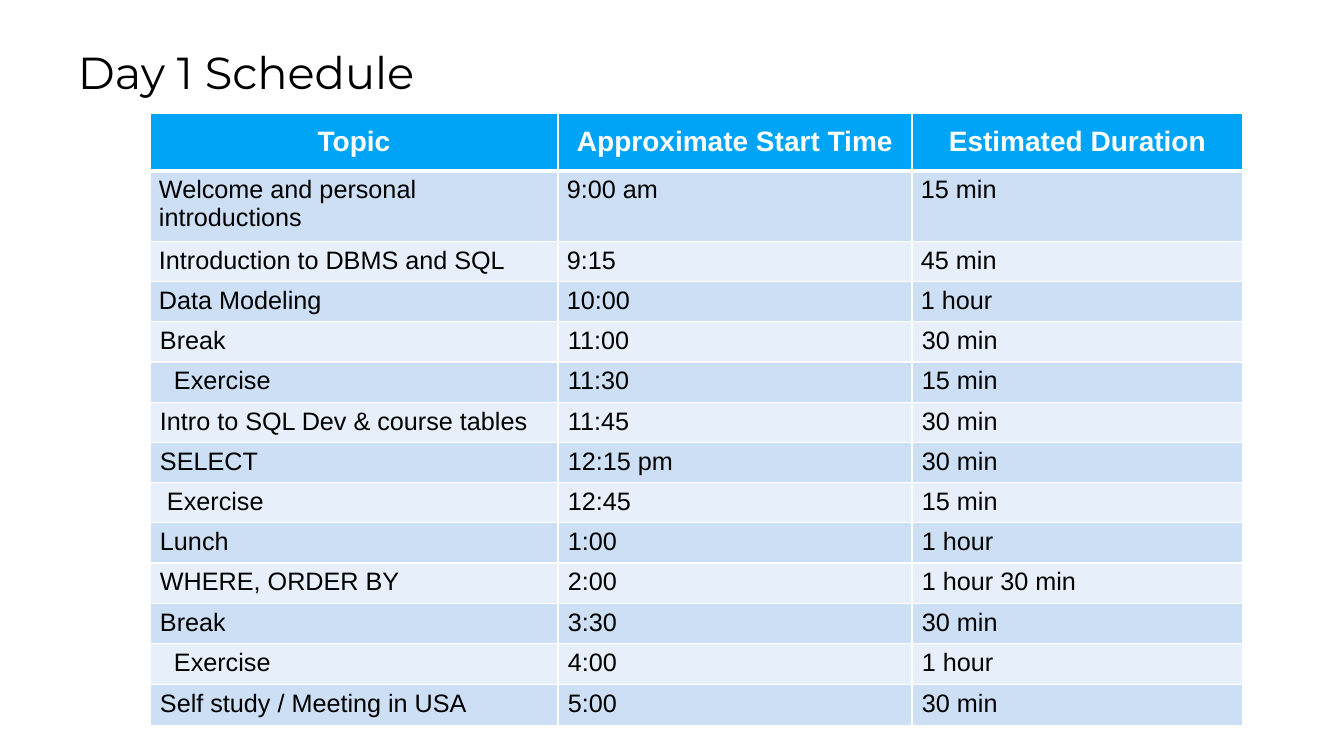
import lxml.etree
import pptx
import pptx.dml.color
import pptx.enum.text
import pptx.oxml.ns
import pptx.util

ALIGN = pptx.enum.text.PP_ALIGN
ANCHOR = pptx.enum.text.MSO_ANCHOR

HEADINGS = ["Topic", "Approximate Start Time", "Estimated Duration"]
SESSIONS = [
    ("Welcome and personal introductions", "9:00 am", "15 min"),
    ("Introduction to DBMS and SQL", "9:15", "45 min"),
    ("Data Modeling", "10:00", "1 hour"),
    ("Break", "11:00", "30 min"),
    ("Exercise", "11:30", "15 min"),
    ("Intro to SQL Dev & course tables", "11:45", "30 min"),
    ("SELECT", "12:15 pm", "30 min"),
    ("Exercise", "12:45", "15 min"),
    ("Lunch", "1:00", "1 hour"),
    ("WHERE, ORDER BY", "2:00", "1 hour 30 min"),
    ("Break", "3:30", "30 min"),
    ("Exercise", "4:00", "1 hour"),
    ("Self study / Meeting in USA", "5:00", "30 min"),
]
TOPIC_INDENTS = {5: 14, 8: 7, 12: 14}
COLUMN_WIDTHS = [408, 354, 331]
ROW_HEIGHTS = [58, 66] + [39] * 10 + [41] * 2


def px(length):
    return pptx.util.Emu(round(length * 914400 / 100.8))


def color(value):
    return pptx.dml.color.RGBColor.from_string(value)


def apply(target, values):
    for name, value in values.items():
        setattr(target, name, value)


class ScheduleSlide:
    """Holds the style of the schedule and the slide it is drawn on."""

    black, white, header_fill = "000000", "FFFFFF", "00A4F6"
    bands = ["E7F0FA", "CCDFF4"]
    title_font, table_font = "Montserrat", "Arial"

    def __init__(self, deck):
        self.slide = deck.slides.add_slide(deck.slide_layouts[6])

    def label(self, paragraph, text, font, size, ink, bold=False, align=ALIGN.LEFT):
        paragraph.text = text
        paragraph.alignment = align
        apply(paragraph.font, {"name": font, "size": pptx.util.Pt(size), "bold": bold})
        paragraph.font.color.rgb = color(ink)

    def title(self, text, left, top, width, height):
        frame = self.slide.shapes.add_textbox(px(left), px(top), px(width), px(height)).text_frame
        apply(frame, {"word_wrap": True, "vertical_anchor": ANCHOR.MIDDLE})
        self.label(frame.paragraphs[0], text, self.title_font, 32, self.black)

    def borders(self, cell, widths):
        properties = cell._tc.get_or_add_tcPr()
        for side, points in widths.items():
            line = lxml.etree.SubElement(
                properties, pptx.oxml.ns.qn(f"a:ln{side}"), w=str(int(pptx.util.Pt(points))))
            fill = lxml.etree.SubElement(line, pptx.oxml.ns.qn("a:solidFill"))
            lxml.etree.SubElement(fill, pptx.oxml.ns.qn("a:srgbClr"), val=self.white)

    def cell(self, cell, text, row, indent):
        header = row == 0
        inset = 9 if row < 4 else 10
        apply(cell, {
            "margin_left": px(inset + indent), "margin_right": px(inset),
            "margin_top": px(5), "margin_bottom": px(5),
            "vertical_anchor": ANCHOR.MIDDLE if header else ANCHOR.TOP,
        })
        self.borders(cell, {"L": 1, "R": 1, "T": 3 if row == 1 else 1, "B": 3 if header else 1})
        cell.fill.solid()
        cell.fill.fore_color.rgb = color(self.header_fill if header else self.bands[row % 2])
        self.label(cell.text_frame.paragraphs[0], text, self.table_font,
                   20 if header else 18, self.white if header else self.black,
                   header, ALIGN.CENTER if header else ALIGN.LEFT)

    def table(self, rows, left, top):
        schedule = self.slide.shapes.add_table(
            len(rows), len(COLUMN_WIDTHS), px(left), px(top),
            px(sum(COLUMN_WIDTHS)), px(sum(ROW_HEIGHTS))).table
        for column, width in zip(schedule.columns, COLUMN_WIDTHS):
            column.width = px(width)
        for row, height in zip(schedule.rows, ROW_HEIGHTS):
            row.height = px(height)
        for r, entries in enumerate(rows):
            for c, text in enumerate(entries):
                indent = TOPIC_INDENTS.get(r, 0) if c == 0 else 0
                self.cell(schedule.cell(r, c), text, r, indent)


def main():
    deck = pptx.Presentation()
    apply(deck, {"slide_width": px(1344), "slide_height": px(756)})
    day_one = ScheduleSlide(deck)
    day_one.title("Day 1 Schedule", 68, 39, 1213, 65)
    day_one.table([HEADINGS] + SESSIONS, 150, 113)
    deck.save("out.pptx")


if __name__ == "__main__":
    main()
